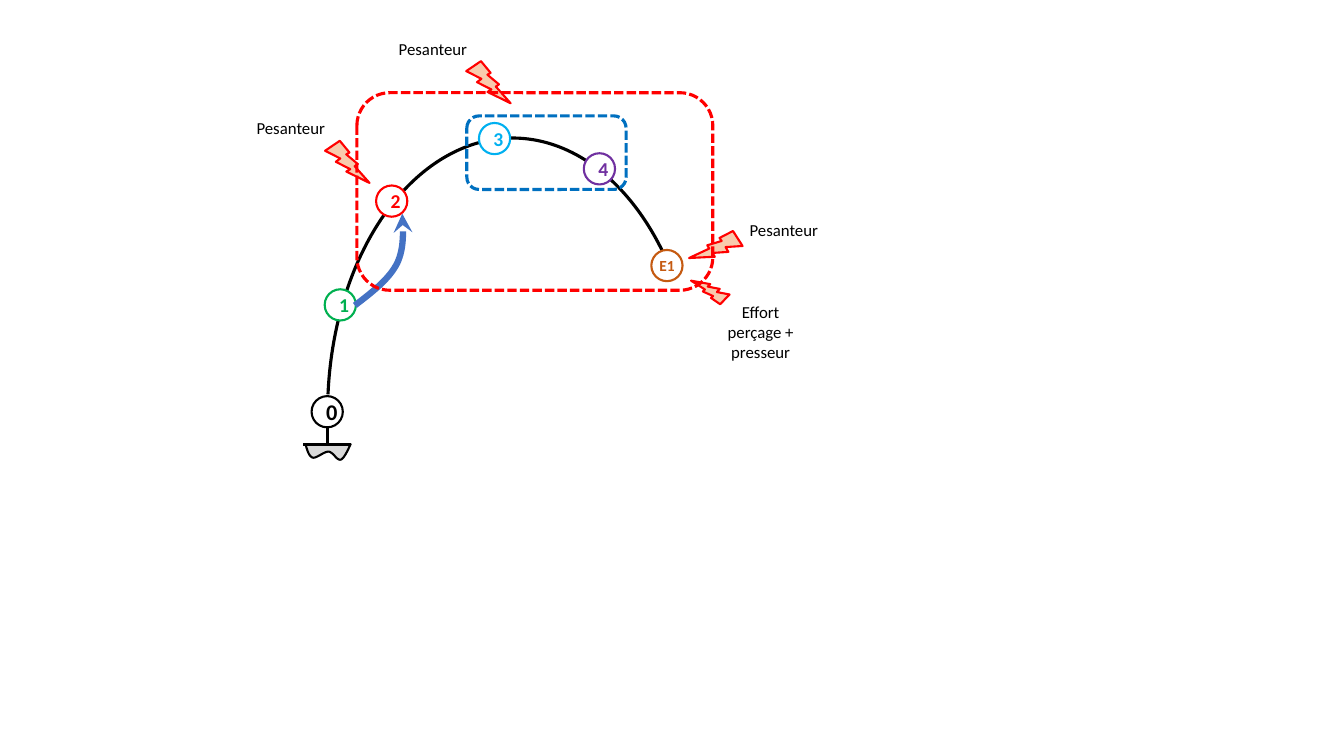
"""Build the slide showing a jointed arm, its links and the loads acting on it."""
from lxml.etree import SubElement
from pptx import Presentation
from pptx.dml.color import RGBColor
from pptx.enum.dml import MSO_LINE
from pptx.enum.shapes import MSO_CONNECTOR, MSO_SHAPE as Shape
from pptx.enum.text import MSO_ANCHOR, MSO_AUTO_SIZE, PP_ALIGN
from pptx.oxml.ns import qn
from pptx.util import Inches, Pt

BLACK = RGBColor(0x00, 0x00, 0x00)
WHITE = RGBColor(0xFF, 0xFF, 0xFF)
GREY = RGBColor(0xD9, 0xD9, 0xD9)
RED = RGBColor(0xFF, 0x00, 0x00)
GREEN = RGBColor(0x00, 0xB0, 0x50)
SKY = RGBColor(0x00, 0xB0, 0xF0)
BLUE = RGBColor(0x00, 0x70, 0xC0)
PURPLE = RGBColor(0x70, 0x30, 0xA0)
BROWN = RGBColor(0xC5, 0x5A, 0x11)
PEACH = RGBColor(0xF8, 0xCB, 0xAD)
ARROW_BLUE = RGBColor(0x44, 0x72, 0xC4)

prs = Presentation()
prs.slide_width, prs.slide_height = Inches(13.33), Inches(7.5)
COL, ROW = prs.slide_width // 1333, prs.slide_height // 750
s = prs.slides.add_slide(prs.slide_layouts[6])


def style(shape, line, width, fill=None):
    """Set outline and fill, without a shadow."""
    shape.shadow.inherit = False
    shape.line.color.rgb, shape.line.width = line, Pt(width)
    if fill is None:
        shape.fill.background()
    else:
        shape.fill.solid()
        shape.fill.fore_color.rgb = fill
    return shape


def curve(start, segments, steps=16):
    """Draw an open outline through cubic Bezier segments."""
    points, p0 = [], start
    for p1, p2, p3 in segments:
        for t in (i / steps for i in range(1, steps + 1)):
            u = 1 - t
            points.append([(u**3 * a + 3 * u * u * t * b + 3 * u * t * t * c + t**3 * d) * unit
                           for a, b, c, d, unit in zip(p0, p1, p2, p3, (COL, ROW))])
        p0 = p3
    builder = s.shapes.build_freeform(start[0] * COL, start[1] * ROW)
    builder.add_line_segments(points, close=False)
    return builder.convert_to_shape()


arm = s.shapes.add_shape(Shape.ARC, 325 * COL, 137 * ROW, 367 * COL, 543 * ROW)
arm.adjustments[0], arm.adjustments[1] = 111.229, 188.845
style(arm, BLACK, 2.25)

ground = curve((303, 441), [
    ((305, 447), (306, 452), (310, 454)),
    ((314, 455), (321, 448), (326, 448)),
    ((331, 449), (334, 457), (338, 456)),
    ((341, 455), (345, 447), (348, 440)),
])
style(ground, BLACK, 1.5, GREY)

for x1, y1, x2, y2 in [(325, 425, 325, 440), (348, 441, 301, 441)]:
    bar = s.shapes.add_connector(MSO_CONNECTOR.STRAIGHT, x1 * COL, y1 * ROW, x2 * COL, y2 * ROW)
    bar.line.color.rgb, bar.line.width = BLACK, Pt(2.25)
    SubElement(bar.element.spPr, qn("a:effectLst"))

JOINTS = [
    ("1", 322, 287, 14, GREEN),
    ("2", 373, 184, 14, RED),
    ("0", 309, 393, 16, BLACK),
    ("3", 475, 122, 14, SKY),
    ("4", 579, 152, 14, PURPLE),
    ("E1", 646, 248, 11, BROWN),
]
for name, x, y, size, color in JOINTS:
    joint = s.shapes.add_shape(Shape.OVAL, x * COL, y * ROW, 31 * COL, 31 * ROW)
    style(joint, color, 1.5, WHITE)
    tf = joint.text_frame
    tf.vertical_anchor = MSO_ANCHOR.MIDDLE
    if len(name) > 1:
        tf.margin_left = tf.margin_right = tf.margin_top = tf.margin_bottom = 0
    p = tf.paragraphs[0]
    p.alignment = PP_ALIGN.CENTER
    r = p.add_run()
    r.text = name
    for key, value in {"name": "Calibri", "size": Pt(size), "bold": True}.items():
        setattr(r.font, key, value)
    r.font.color.rgb = color

BOLTS = [
    (324, 139, 40, 45, 353.2, False),
    (690, 272, 31, 32, 159.5, False),
    (464, 60, 40, 45, 353.2, False),
    (692, 224, 40, 45, 30, True),
]
for x, y, w, h, angle, mirrored in BOLTS:
    bolt = s.shapes.add_shape(Shape.LIGHTNING_BOLT, x * COL, y * ROW, w * COL, h * ROW)
    style(bolt, RED, 1.5, PEACH).rotation = angle
    if mirrored:
        bolt.element.spPr.find(qn("a:xfrm")).set("flipH", "1")

LOADS = [
    ("Pesanteur", 245, 117, 20),
    ("Pesanteur", 386, 38, 20),
    ("Pesanteur", 734, 218, 20),
    ("Effort perçage + presseur", 711, 299, 61),
]
for text, x, y, h in LOADS:
    tf = s.shapes.add_textbox(x * COL, y * ROW, 87 * COL, h * ROW).text_frame
    layout = {"word_wrap": True, "auto_size": MSO_AUTO_SIZE.SHAPE_TO_FIT_TEXT,
              "margin_left": 0, "margin_right": 0, "margin_top": 0, "margin_bottom": 0}
    for key, value in layout.items():
        setattr(tf, key, value)
    p = tf.paragraphs[0]
    p.alignment = PP_ALIGN.CENTER
    r = p.add_run()
    r.text = text
    r.font.name, r.font.size = "Calibri", Pt(12)
    r.font.color.rgb = BLACK

motion = curve((352, 303), [
    ((369, 290), (386, 277), (394, 261)),
    ((401, 246), (400, 229), (399, 212)),
])
style(motion, ARROW_BLUE, 4.5)
SubElement(motion.line._get_or_add_ln(), qn("a:tailEnd"), type="stealth")

for x, y, w, h, color in [(463, 115, 158, 73, BLUE), (354, 92, 353, 196, RED)]:
    frame = s.shapes.add_shape(Shape.ROUNDED_RECTANGLE, x * COL, y * ROW, w * COL, h * ROW)
    style(frame, color, 2.25).line.dash_style = MSO_LINE.SQUARE_DOT

prs.save("out.pptx")
